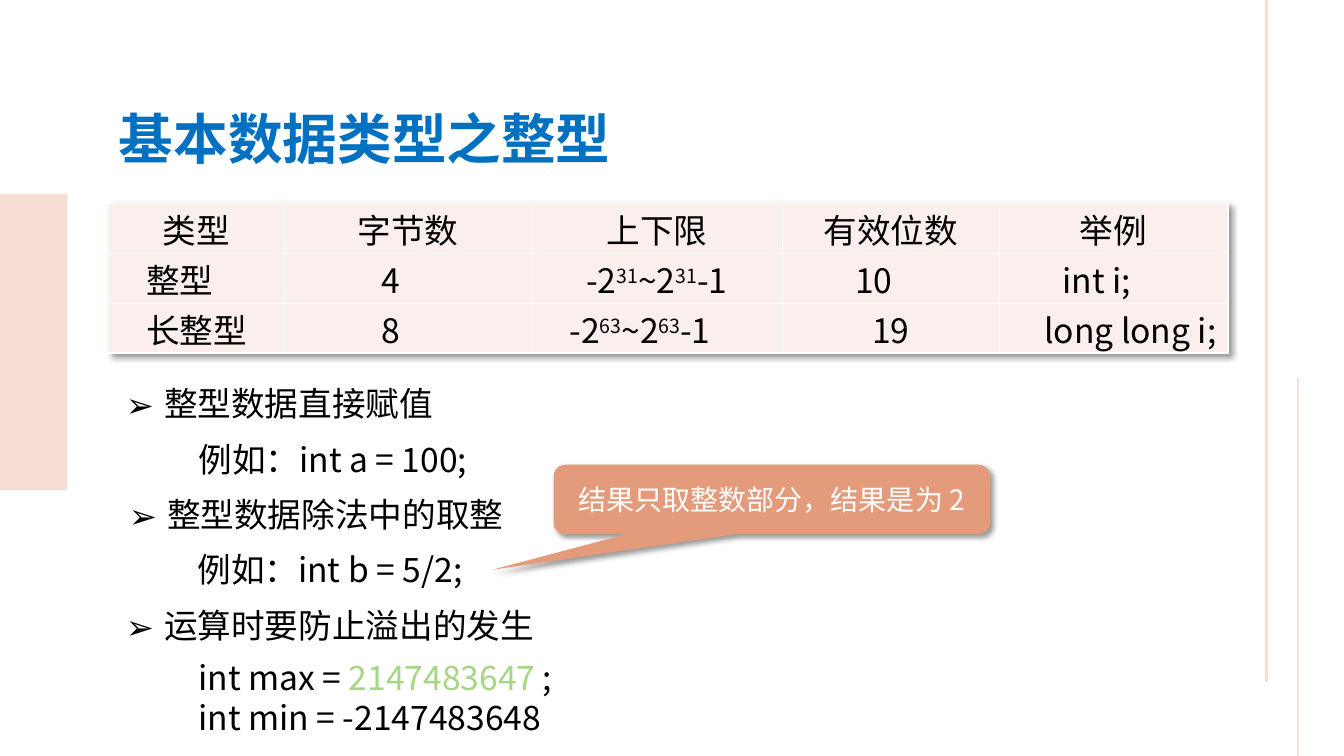
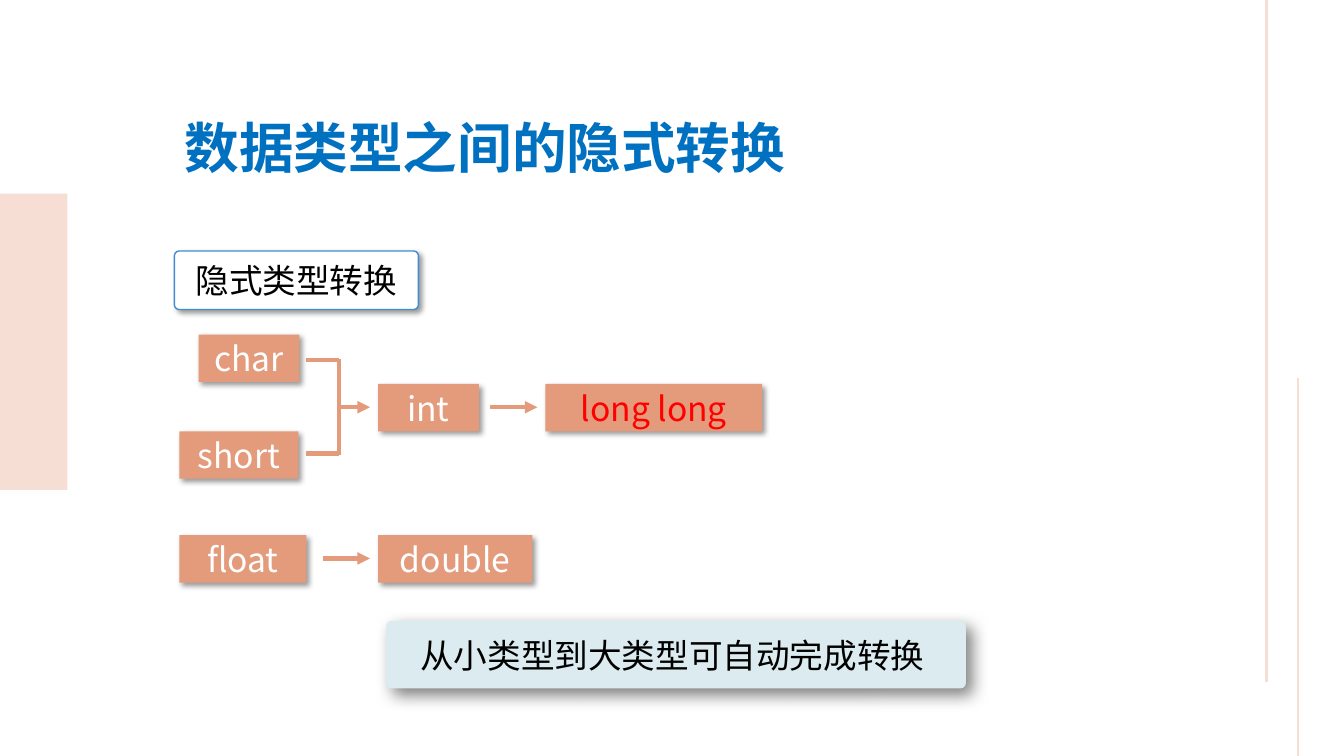
from typing import NamedTuple

from lxml.etree import SubElement
from pptx import Presentation
from pptx.dml.color import RGBColor
from pptx.enum.shapes import MSO_CONNECTOR, MSO_SHAPE
from pptx.enum.text import MSO_ANCHOR, PP_ALIGN
from pptx.oxml import parse_xml
from pptx.oxml.ns import nsdecls, qn
from pptx.util import Inches, Pt

FONT = "Noto Sans CJK SC"
BLACK = RGBColor(0x00, 0x00, 0x00)
WHITE = RGBColor(0xFF, 0xFF, 0xFF)
RED = RGBColor(0xFF, 0x00, 0x00)
GREEN = RGBColor(0xA6, 0xD5, 0x83)
TITLE_BLUE = RGBColor(0x00, 0x70, 0xC0)
OUTLINE_BLUE = RGBColor(0x40, 0x8D, 0xD2)
PALE_BLUE = RGBColor(0xDC, 0xEB, 0xEF)
SALMON = RGBColor(0xE4, 0x9B, 0x7B)
PINK = RGBColor(0xF6, 0xDE, 0xD4)
PALE_PINK = RGBColor(0xFA, 0xEF, 0xEC)


class Box(NamedTuple):
    left: float
    top: float
    width: float
    height: float

    def lengths(self) -> list:
        return [Inches(value) for value in self]


class Run(NamedTuple):
    text: str
    color: RGBColor = BLACK
    superscript: bool = False


class Shadow(NamedTuple):
    opacity: int
    blur: float
    distance: float


class TypeBox(NamedTuple):
    text: str
    left: float
    top: float
    width: float
    color: RGBColor = WHITE


class Line(NamedTuple):
    start: tuple[float, float]
    end: tuple[float, float]
    arrow: bool = False


SOFT_SHADOW = Shadow(40, 4, 3)
DEEP_SHADOW = Shadow(50, 12, 6)

TABLE_COLUMNS = [1.74, 2.45, 2.49, 2.15, 2.27]
TABLE_ROWS = [0.47, 0.48, 0.48]
# Text between carets is raised.
TABLE_TEXT = [
    ["类型", "字节数", "上下限", "有效位数", "举例"],
    ["整型　", "4　", "-2^31^~2^31^-1", "10　", "int i;　"],
    ["长整型", "8　", "-2^63^~2^63^-1　", "19", "　long long i;"],
]

LINE_PITCH = 0.55
BULLETS = [
    (Box(1.15, 3.75, 3.3, 0.5), "整型数据直接赋值"),
    (Box(1.18, 3.75 + 2 * LINE_PITCH, 3.97, 0.5), "整型数据除法中的取整"),
    (Box(1.15, 3.75 + 4 * LINE_PITCH, 4.3, 0.5), "运算时要防止溢出的发生"),
]
EXAMPLES = [
    (Box(1.87, 3.75 + LINE_PITCH, 3.01, 0.5), "例如：int a = 100;"),
    (Box(1.86, 3.75 + 3 * LINE_PITCH, 2.99, 0.5), "例如：int b = 5/2;"),
]
LIMITS = [
    [Run("int max ="), Run(" 2147483647", GREEN), Run(" ;")],
    [Run("int min = -2147483648")],
]

TYPE_HEIGHT = 0.47
TYPE_BOXES = [
    TypeBox("char", 1.97, 3.32, 1),
    TypeBox("short", 1.78, 4.28, 1.18),
    TypeBox("int", 3.75, 3.81, 1),
    TypeBox("long long", 5.41, 3.81, 2.15, RED),
    TypeBox("float", 1.78, 5.31, 1.26),
    TypeBox("double", 3.75, 5.31, 1.53),
]
TYPE_LINES = [
    Line((3.36, 3.57), (3.04, 3.57)),
    Line((3.36, 4.5), (3.04, 4.5)),
    Line((3.36, 3.56), (3.36, 4.51)),
    Line((3.36, 4.04), (3.67, 4.04), arrow=True),
    Line((4.86, 4.04), (5.33, 4.04), arrow=True),
    Line((3.2, 5.54), (3.67, 5.54), arrow=True),
]


def write_runs(paragraph, runs: list[Run], size: float = 24, bold: bool = False) -> None:
    for item in runs:
        run = paragraph.add_run()
        run.text = item.text
        run.font.color.rgb = item.color
        for name, value in {"name": FONT, "size": Pt(size), "bold": bold}.items():
            setattr(run.font, name, value)
        properties = run._r.get_or_add_rPr()
        SubElement(properties, qn("a:ea"), typeface=FONT)
        if item.superscript:
            properties.set("baseline", "30000")


def shadow_effect(shadow: Shadow):
    return parse_xml(
        f'<a:effectLst {nsdecls("a")}><a:outerShdw blurRad="{Pt(shadow.blur)}" '
        f'dist="{Pt(shadow.distance)}" dir="2700000" algn="tl" rotWithShape="0">'
        f'<a:srgbClr val="000000"><a:alpha val="{shadow.opacity * 1000}"/></a:srgbClr>'
        "</a:outerShdw></a:effectLst>"
    )


def add_panel(slide, kind, box: Box, fill: RGBColor, shadow: Shadow | None = None,
              line: RGBColor | None = None, adjustments: tuple = ()):
    shape = slide.shapes.add_shape(kind, *box.lengths())
    shape.fill.solid()
    shape.fill.fore_color.rgb = fill
    if line is None:
        shape.line.fill.background()
    else:
        shape.line.color.rgb = line
        shape.line.width = Pt(1)
    for index, value in enumerate(adjustments):
        shape.adjustments[index] = value
    shape.shadow.inherit = False
    if shadow:
        properties = shape.element.spPr
        properties.replace(properties.find(qn("a:effectLst")), shadow_effect(shadow))
    return shape


def label_panel(shape, run: Run, size: float = 24) -> None:
    shape.text_frame.vertical_anchor = MSO_ANCHOR.MIDDLE
    paragraph = shape.text_frame.paragraphs[0]
    paragraph.alignment = PP_ALIGN.CENTER
    write_runs(paragraph, [run], size)


def add_line(slide, line: Line, color: RGBColor, width: float):
    connector = slide.shapes.add_connector(
        MSO_CONNECTOR.STRAIGHT, *(Inches(value) for value in line.start + line.end))
    connector.line.color.rgb = color
    connector.line.width = Pt(width)
    if line.arrow:
        SubElement(connector.line._get_or_add_ln(), qn("a:tailEnd"), type="triangle")
    SubElement(connector.element.spPr, qn("a:effectLst"))
    return connector


def add_text(slide, box: Box, lines: list[list[Run]], bullet: str = "") -> None:
    frame = slide.shapes.add_textbox(*box.lengths()).text_frame
    frame.word_wrap = False
    frame.vertical_anchor = MSO_ANCHOR.MIDDLE
    for index, runs in enumerate(lines):
        paragraph = frame.add_paragraph() if index else frame.paragraphs[0]
        if bullet:
            properties = paragraph._p.get_or_add_pPr()
            properties.set("marL", str(Inches(0.38)))
            properties.set("indent", str(-Inches(0.38)))
            SubElement(properties, qn("a:buFont"), typeface=FONT)
            SubElement(properties, qn("a:buChar"), char=bullet)
        write_runs(paragraph, runs)


def add_title(slide, box: Box, text: str) -> None:
    title = slide.shapes.title
    title.left, title.top, title.width, title.height = box.lengths()
    title.text_frame.vertical_anchor = MSO_ANCHOR.MIDDLE
    paragraph = title.text_frame.paragraphs[0]
    paragraph.alignment = PP_ALIGN.LEFT
    write_runs(paragraph, [Run(text, TITLE_BLUE)], 39, bold=True)


def decorate_layout(slide) -> None:
    """Draw the side band and rules, then move them to the layout of the slide."""
    decorations = [
        add_panel(slide, MSO_SHAPE.RECTANGLE, Box(0, 1.92, 0.67, 2.94), PINK),
        add_line(slide, Line((12.56, 6.77), (12.56, 0)), PINK, 2.25),
        add_line(slide, Line((12.87, 7.5), (12.87, 3.75)), PINK, 1.5),
    ]
    for shape in decorations:
        slide.slide_layout.shapes.element.append(shape.element)


def add_type_table(slide) -> None:
    box = Box(1.08, 2.02, sum(TABLE_COLUMNS), sum(TABLE_ROWS))
    table = slide.shapes.add_table(
        len(TABLE_ROWS), len(TABLE_COLUMNS), *box.lengths()).table
    table.first_row = table.horz_banding = False
    table._tbl.tblPr.insert(0, shadow_effect(SOFT_SHADOW))
    for column, width in zip(table.columns, TABLE_COLUMNS):
        column.width = Inches(width)
    for row, height, texts in zip(table.rows, TABLE_ROWS, TABLE_TEXT):
        row.height = Inches(height)
        for cell, text in zip(row.cells, texts):
            cell.fill.solid()
            cell.fill.fore_color.rgb = PALE_PINK
            cell.vertical_anchor = MSO_ANCHOR.MIDDLE
            for side in ("left", "top", "right"):
                setattr(cell, f"margin_{side}", Inches(0.01))
            cell.margin_bottom = 0
            paragraph = cell.text_frame.paragraphs[0]
            paragraph.alignment = PP_ALIGN.CENTER
            write_runs(paragraph, [Run(part, superscript=index % 2 == 1)
                                   for index, part in enumerate(text.split("^"))])


def build_integer_slide(slide) -> None:
    add_title(slide, Box(1.08, 0.99, 5.35, 0.76), "基本数据类型之整型")
    add_type_table(slide)
    for box, text in BULLETS:
        add_text(slide, box, [[Run(text)]], bullet="➢")
    for box, text in EXAMPLES:
        add_text(slide, box, [[Run(text)]])
    add_text(slide, Box(1.87, 6.46, 3.96, 0.91), LIMITS)
    callout = add_panel(slide, MSO_SHAPE.ROUNDED_RECTANGULAR_CALLOUT,
                        Box(5.49, 4.61, 4.33, 0.69), SALMON, SOFT_SHADOW,
                        adjustments=(-0.64, 1.01, 0.17))
    label_panel(callout, Run("结果只取整数部分，结果是为 2", WHITE), 20)


def build_conversion_slide(slide) -> None:
    add_title(slide, Box(1.73, 1.08, 6.3, 0.76), "数据类型之间的隐式转换")
    heading = add_panel(slide, MSO_SHAPE.ROUNDED_RECTANGLE, Box(1.73, 2.49, 2.42, 0.58),
                        WHITE, SOFT_SHADOW, OUTLINE_BLUE, (0.08,))
    label_panel(heading, Run("隐式类型转换"))
    for item in TYPE_BOXES:
        panel = add_panel(slide, MSO_SHAPE.RECTANGLE,
                          Box(item.left, item.top, item.width, TYPE_HEIGHT),
                          SALMON, SOFT_SHADOW)
        label_panel(panel, Run(item.text, item.color))
    for line in TYPE_LINES:
        add_line(slide, line, SALMON, 3)
    add_panel(slide, MSO_SHAPE.ROUNDED_RECTANGLE, Box(3.83, 6.16, 5.75, 0.67),
              PALE_BLUE, DEEP_SHADOW, adjustments=(0.08,))
    add_text(slide, Box(4.07, 6.25, 5.2, 0.5), [[Run("从小类型到大类型可自动完成转换")]])


def main() -> None:
    presentation = Presentation()
    presentation.slide_width = Inches(13.33)
    presentation.slide_height = Inches(7.5)
    title_only = presentation.slide_layouts[5]
    slides = [presentation.slides.add_slide(title_only) for _ in range(2)]
    decorate_layout(slides[0])
    build_integer_slide(slides[0])
    build_conversion_slide(slides[1])
    presentation.save("out.pptx")


if __name__ == "__main__":
    main()
